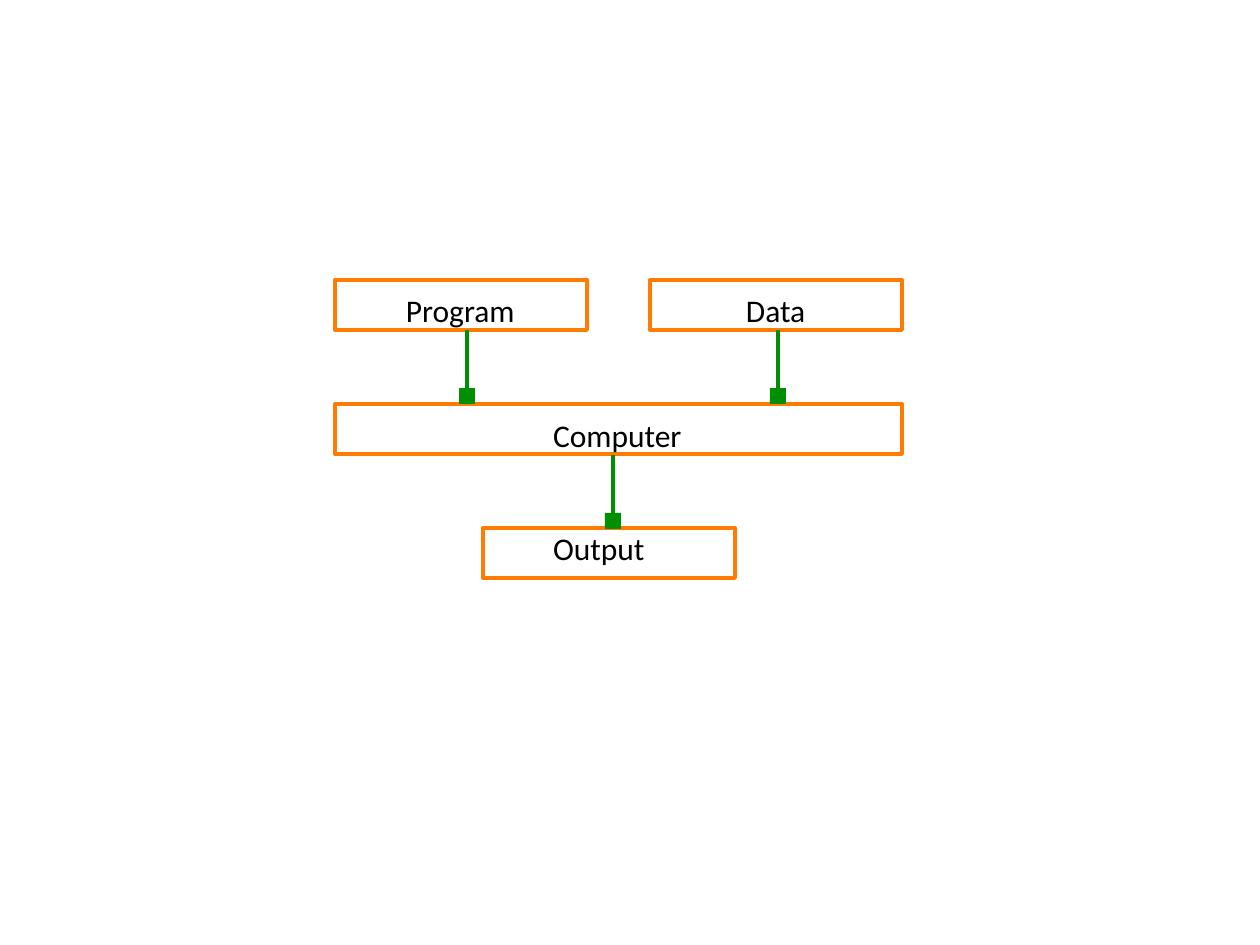
import pptx
import pptx.dml.color
import pptx.enum.shapes
import pptx.oxml.ns
import pptx.util
from lxml import etree

PX = 914400 / 126
ORANGE = pptx.dml.color.RGBColor(0xFF, 0x7C, 0x00)
GREEN = pptx.dml.color.RGBColor(0x00, 0x8F, 0x00)
BLACK = pptx.dml.color.RGBColor(0x00, 0x00, 0x00)


class Diagram:
    """Draws boxes, labels and square-ended links on one slide."""

    font = "Calibri"
    size = 18
    square = 16

    def __init__(self, s):
        self.s = s

    def emu(self, *lengths):
        return [pptx.util.Emu(round(n * PX)) for n in lengths]

    def rectangle(self, x, y, w, h):
        kind = pptx.enum.shapes.MSO_SHAPE.RECTANGLE
        sp = self.s.shapes.add_shape(kind, *self.emu(x, y, w, h))
        sp.shadow.inherit = False
        return sp

    def box(self, x, y, w, h=50):
        sp = self.rectangle(x, y, w, h)
        sp.fill.background()
        sp.line.color.rgb = ORANGE
        sp.line.width = pptx.util.Pt(2.25)

    def label(self, text, x, y, w, h=38):
        tf = self.s.shapes.add_textbox(*self.emu(x, y, w, h)).text_frame
        tf.word_wrap = True
        tf.margin_left = tf.margin_right = tf.margin_top = tf.margin_bottom = 0
        p = tf.paragraphs[0]
        p.text = text
        p.font.name = self.font
        p.font.size = pptx.util.Pt(self.size)
        p.font.color.rgb = BLACK

    def link(self, x, top, bottom):
        kind = pptx.enum.shapes.MSO_CONNECTOR.STRAIGHT
        line = self.s.shapes.add_connector(kind, *self.emu(x, top, x, bottom - 4))
        line.line.color.rgb = GREEN
        line.line.width = pptx.util.Pt(2)
        etree.SubElement(line._element.spPr, pptx.oxml.ns.qn("a:effectLst"))
        n = self.square
        sp = self.rectangle(x - n // 2, bottom - n, n, n)
        sp.fill.solid()
        sp.fill.fore_color.rgb = GREEN
        sp.line.fill.background()


def main():
    prs = pptx.Presentation()
    prs.slide_width = pptx.util.Inches(10)
    prs.slide_height = pptx.util.Inches(7.5)
    d = Diagram(prs.slides.add_slide(prs.slide_layouts[6]))

    for x, y, w in [(335, 280, 252), (650, 280, 252), (335, 404, 567), (483, 528, 252)]:
        d.box(x, y, w)
    for text, x, y, w in [
        ("Program", 406, 291, 114),
        ("Data", 746, 291, 64),
        ("Computer", 553, 416, 132),
        ("Output", 553, 529, 132),
    ]:
        d.label(text, x, y, w)
    for x, top, bottom in [(467, 330, 404), (778, 330, 404), (613, 455, 529)]:
        d.link(x, top, bottom)

    prs.save("out.pptx")


if __name__ == "__main__":
    main()
